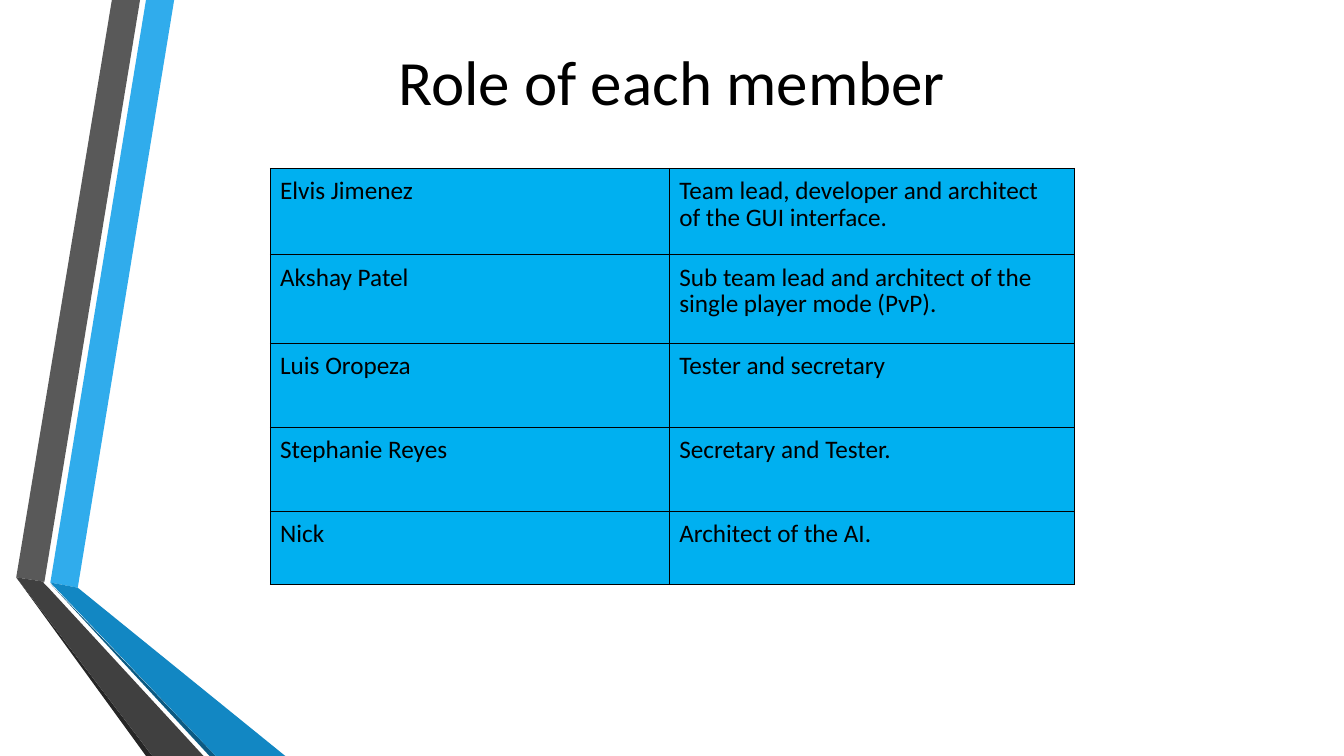
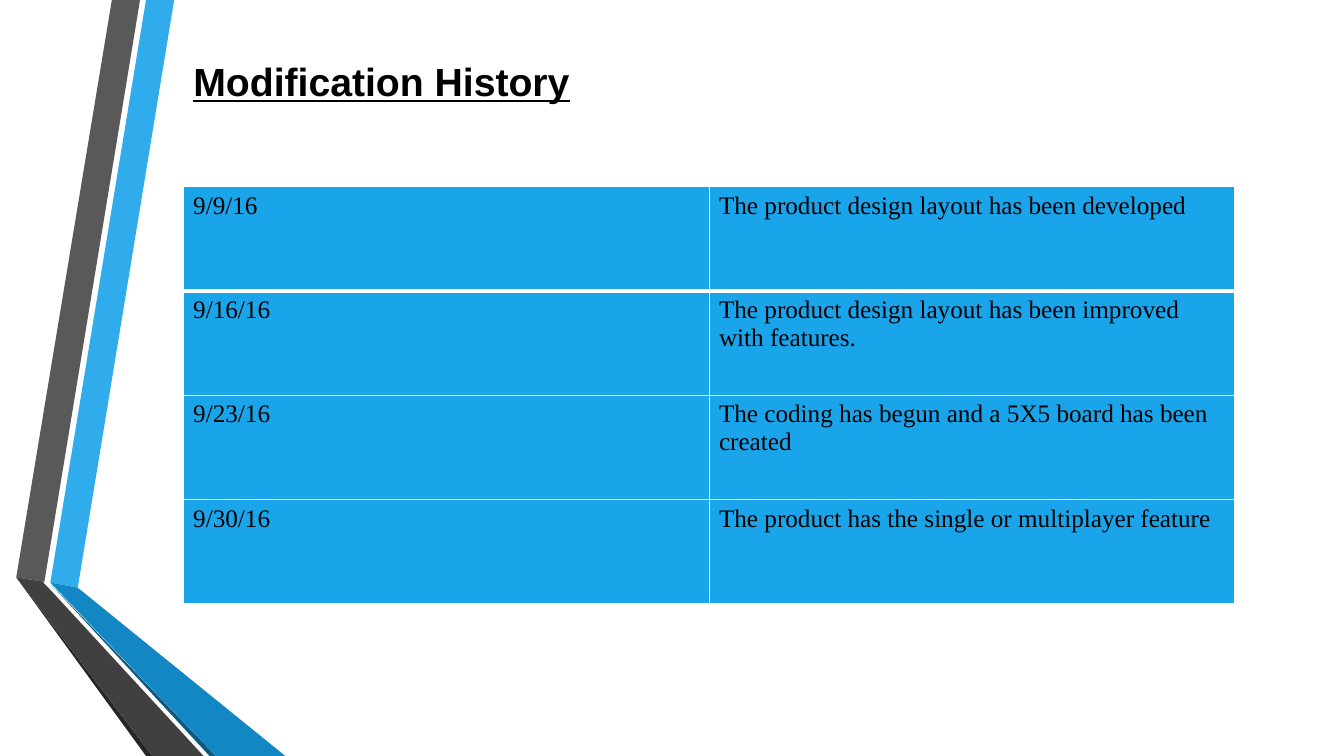
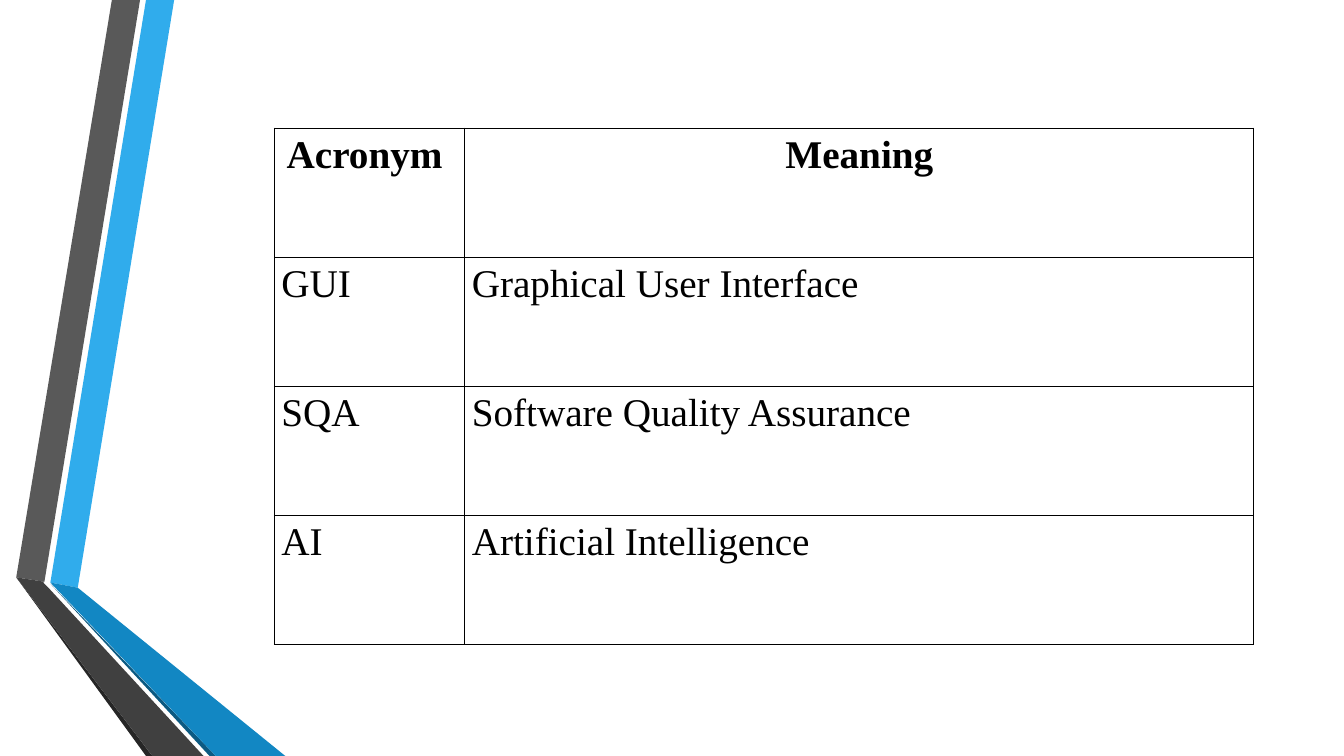
from lxml import etree
from pptx import Presentation
from pptx.dml.color import RGBColor
from pptx.enum.text import MSO_ANCHOR, MSO_AUTO_SIZE, PP_ALIGN
from pptx.oxml.ns import qn
from pptx.util import Cm, Pt

LEFT, CENTER = PP_ALIGN.LEFT, PP_ALIGN.CENTER
TOP, NO_FIT = MSO_ANCHOR.TOP, MSO_AUTO_SIZE.NONE
TITLE_ONLY, BLANK = 5, 6

BLACK, WHITE = "000000", "FFFFFF"
BANDS = [
    ("30ACEC", [(1.27, 14.68), (1.96, 14.81), (4.39, 0), (3.68, 0)]),
    ("595959", [(3.53, 0), (2.82, 0), (0.41, 14.55), (1.12, 14.66)]),
    ("262626", [(0.41, 14.55), (3.68, 19.05), (3.84, 19.05)]),
    ("0C5A82", [(1.27, 14.71), (5.28, 19.05), (5.44, 19.05)]),
    ("1287C3", [(1.27, 14.68), (5.44, 19.05), (7.19, 19.05), (1.96, 14.81)]),
    ("404040", [(5.13, 19.05), (1.22, 14.81), (1.09, 14.68), (1.12, 14.66),
                (0.41, 14.55), (3.84, 19.05)]),
]

ROLES = [
    ("Elvis Jimenez", "Team lead, developer and architect of the GUI interface."),
    ("Akshay Patel", "Sub team lead and architect of the single player mode (PvP)."),
    ("Luis Oropeza", "Tester and secretary"),
    ("Stephanie Reyes", "Secretary and Tester."),
    ("Nick", "Architect of the AI."),
]
HISTORY = [
    ("9/9/16", "The product design layout has been developed"),
    ("9/16/16", "The product design layout has been improved with features."),
    ("9/23/16", "The coding has begun and a 5X5 board has been created"),
    ("9/30/16", "The product has the single or multiplayer feature"),
]
ACRONYMS = [
    ("Acronym ", "Meaning"),
    ("GUI", "Graphical User Interface"),
    ("SQA", "Software Quality Assurance"),
    ("AI", "Artificial Intelligence"),
]


def rgb(code):
    """Return the colour for a hex string."""
    return RGBColor.from_string(code)


def assign(target, values):
    """Set each named attribute of the target."""
    for name, value in values.items():
        setattr(target, name, value)


def margins(side, end):
    """Return cell margins for the sides and for top and bottom."""
    return {"margin_left": Cm(side), "margin_right": Cm(side),
            "margin_top": Cm(end), "margin_bottom": Cm(end)}


class Deck:
    """Holds the shared style and the current slide."""

    def __init__(self):
        """Start a widescreen presentation."""
        self.prs = Presentation()
        self.prs.slide_width, self.prs.slide_height = Cm(33.87), Cm(19.05)
        self.slide = None

    def new_slide(self, layout):
        """Start a slide on the given layout."""
        self.slide = self.prs.slides.add_slide(self.prs.slide_layouts[layout])

    def add_bands(self):
        """Draw the folded bands and place them on the slide master."""
        master = self.prs.slide_master.shapes.element
        for number, (color, corners) in enumerate(BANDS, 20):
            points = [(Cm(x), Cm(y)) for x, y in corners]
            builder = self.slide.shapes.build_freeform(*points[0])
            builder.add_line_segments(points[1:], close=True)
            band = builder.convert_to_shape()
            band.shadow.inherit = False
            band.fill.solid()
            band.fill.fore_color.rgb = rgb(color)
            band.line.fill.background()
            band.element.nvSpPr.cNvPr.set("id", str(number))
            master.append(band.element)

    def add_text(self, paragraph, text, font, layout):
        """Put formatted black text into a paragraph."""
        run = paragraph.add_run()
        run.text = text
        assign(run.font, font)
        run.font.color.rgb = rgb(BLACK)
        assign(paragraph, layout)

    def title(self, text, box, font, layout):
        """Move and fill the title placeholder."""
        heading = self.slide.shapes.title
        assign(heading, dict(zip(("left", "top", "width", "height"), map(Cm, box))))
        frame = heading.text_frame
        assign(frame, {"word_wrap": True, "auto_size": NO_FIT, "vertical_anchor": TOP})
        self.add_text(frame.paragraphs[0], text, font, layout)

    def border(self, cell, color, widths):
        """Give a cell its left, right, top and bottom lines."""
        properties = cell._tc.get_or_add_tcPr()
        for side, width in zip("LRTB", widths):
            line = etree.SubElement(properties, qn(f"a:ln{side}"), w=str(Pt(width)))
            fill = etree.SubElement(line, qn("a:solidFill"))
            etree.SubElement(fill, qn("a:srgbClr"), val=color)

    def table(self, records, corner, widths, heights, font, layout, insets,
              line, fill=None, rule=None, header=None):
        """Add a bordered table; rule thickens the line under the first row."""
        grid = self.slide.shapes.add_table(
            len(records), len(widths), *map(Cm, corner),
            Cm(sum(widths)), Cm(sum(heights))).table
        assign(grid, {"first_row": False, "horz_banding": False})
        for column, width in zip(grid.columns, widths):
            column.width = Cm(width)
        color, thin = line
        rule = rule or thin
        for r, record in enumerate(records):
            grid.rows[r].height = Cm(heights[r])
            above = rule if r == 1 else thin
            below = rule if r == 0 else thin
            heading = header is not None and r == 0
            for c, text in enumerate(record):
                cell = grid.cell(r, c)
                assign(cell, insets)
                self.border(cell, color, (thin, thin, above, below))
                if fill:
                    cell.fill.solid()
                    cell.fill.fore_color.rgb = rgb(fill)
                else:
                    cell.fill.background()
                self.add_text(cell.text_frame.paragraphs[0], text,
                              {**font, "bold": heading},
                              {**layout, **(header if heading else {})})


def main():
    """Build the three slides."""
    deck = Deck()

    deck.new_slide(TITLE_ONLY)
    deck.add_bands()
    deck.title("Role of each member", (7.82, 0.94, 18.21, 1.93),
               {"name": "Calibri", "size": Pt(45)}, {"alignment": CENTER})
    deck.table(ROLES, (6.81, 4.24), (10.06, 10.21), (2.18, 2.24, 2.11, 2.11, 1.85),
               {"name": "Calibri", "size": Pt(18)}, {"line_spacing": 0.87},
               margins(0.25, 0.25), (BLACK, 0.75), fill="00B0F0")

    deck.new_slide(TITLE_ONLY)
    deck.title("Modification History", (4.62, 1.32, 25.32, 1.45),
               {"name": "Arial", "size": Pt(28), "bold": True, "underline": True},
               {"alignment": LEFT, "space_before": Pt(12), "space_after": Pt(3)})
    deck.table(HISTORY, (4.62, 4.7), [13.25] * 2, [2.63] * 4,
               {"name": "Times New Roman", "size": Pt(18)}, {"alignment": LEFT},
               margins(0.25, 0.13), (WHITE, 1), fill="1AA5EA", rule=3)

    deck.new_slide(BLANK)
    deck.table(ACRONYMS, (6.91, 3.23), (4.8, 19.89), [3.25] * 4,
               {"name": "Times New Roman", "size": Pt(28)}, {"space_after": Pt(10)},
               margins(0.18, 0.13), (BLACK, 0.75), header={"alignment": CENTER})

    deck.prs.save("out.pptx")


if __name__ == "__main__":
    main()
